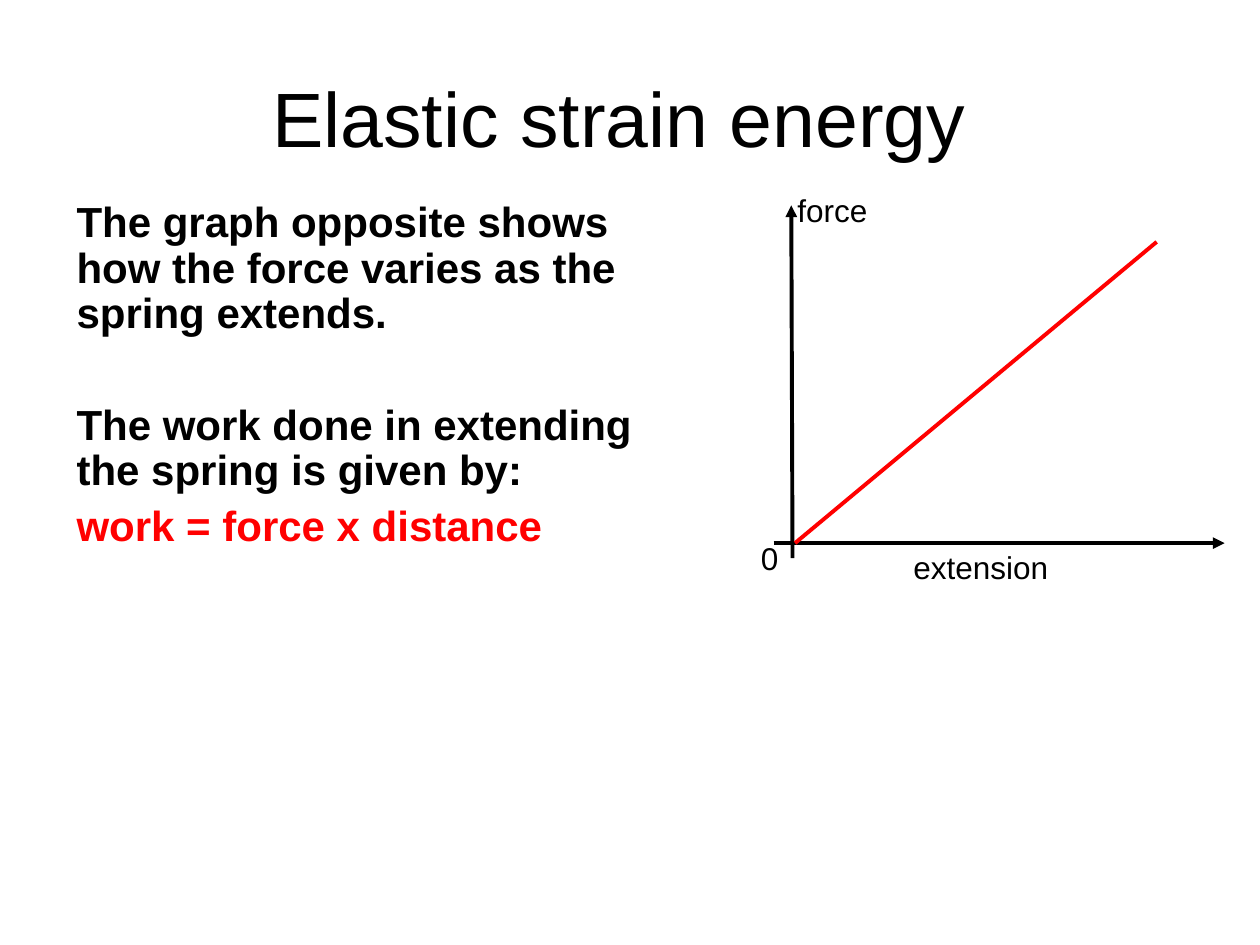
"""Build the slide on elastic strain energy with its force-extension graph."""
from dataclasses import dataclass

from lxml.etree import SubElement
from pptx import Presentation
from pptx.dml.color import RGBColor as Rgb
from pptx.enum.shapes import MSO_CONNECTOR as Connector
from pptx.enum.text import MSO_ANCHOR as Anchor, PP_ALIGN as Align
from pptx.oxml.ns import qn
from pptx.util import Inches, Pt


@dataclass(frozen=True)
class Theme:
    font: str = "Arial"
    ink: Rgb = Rgb(0, 0, 0)
    accent: Rgb = Rgb(255, 0, 0)
    paper: Rgb = Rgb(255, 255, 255)
    title: int = 44
    body: int = 24
    label: int = 18
    stroke: float = 2.25
    leading: float = 0.9
    gap: int = 6
    section_gap: int = 38


THEME = Theme()
WIDTH, HEIGHT = Inches(10), Inches(7.5)
COLUMN, ROW = WIDTH / 100, HEIGHT / 100

TITLE = ("Elastic strain energy ", (5, 4, 90, 16.67))
EXPLANATION_AREA = (5.1, 20.67, 50.4, 60.93)
EXPLANATION = [
    ("The graph opposite shows how the force varies as the spring extends.", THEME.ink, THEME.gap),
    ("The work done in extending the spring is given by:", THEME.ink, THEME.section_gap),
    ("work = force x distance", THEME.accent, THEME.gap),
]
GRAPH_LINES = [
    ((62.9, 59.07), (62.8, 21.73), THEME.ink, True),
    ((61.4, 57.47), (97.2, 57.47), THEME.ink, True),
    ((63.1, 57.47), (91.8, 25.6), THEME.accent, False),
]
GRAPH_LABELS = [
    ("0", (59.4, 56.4, 4.6, 6.4)),
    ("force", (62.3, 19.6, 10.4, 5.2)),
    ("extension", (71.5, 57.33, 13.8, 5.33)),
]


def place(*shares):
    return [round(share * (ROW if i % 2 else COLUMN)) for i, share in enumerate(shares)]


def add_frame(slide, area, anchor=Anchor.TOP):
    frame = slide.shapes.add_textbox(*place(*area)).text_frame
    frame.word_wrap = True
    frame.vertical_anchor = anchor
    return frame


def add_words(paragraph, words, size, color=THEME.ink, bold=False):
    run = paragraph.add_run()
    run.text = words
    run.font.name = THEME.font
    run.font.size = Pt(size)
    run.font.bold = bold
    run.font.color.rgb = color


def add_title(slide):
    words, area = TITLE
    heading = add_frame(slide, area, Anchor.MIDDLE).paragraphs[0]
    heading.alignment = Align.CENTER
    add_words(heading, words, THEME.title)


def add_explanation(slide):
    frame = add_frame(slide, EXPLANATION_AREA)
    for i, (words, color, gap) in enumerate(EXPLANATION):
        paragraph = frame.add_paragraph() if i else frame.paragraphs[0]
        paragraph.line_spacing = THEME.leading
        paragraph.space_before = Pt(gap)
        add_words(paragraph, words, THEME.body, color, bold=True)


def add_graph(slide):
    for start, end, color, arrow in GRAPH_LINES:
        stroke = slide.shapes.add_connector(Connector.STRAIGHT, *place(*start, *end))
        stroke.line.color.rgb = color
        stroke.line.width = Pt(THEME.stroke)
        if arrow:
            SubElement(stroke.line._get_or_add_ln(), qn("a:tailEnd"), type="triangle")
        SubElement(stroke._element.spPr, qn("a:effectLst"))
    for words, area in GRAPH_LABELS:
        add_words(add_frame(slide, area).paragraphs[0], words, THEME.label)


def main():
    deck = Presentation()
    deck.slide_width, deck.slide_height = WIDTH, HEIGHT
    slide = deck.slides.add_slide(deck.slide_layouts[6])
    slide.background.fill.solid()
    slide.background.fill.fore_color.rgb = THEME.paper
    add_title(slide)
    add_explanation(slide)
    add_graph(slide)
    deck.save("out.pptx")


if __name__ == "__main__":
    main()
